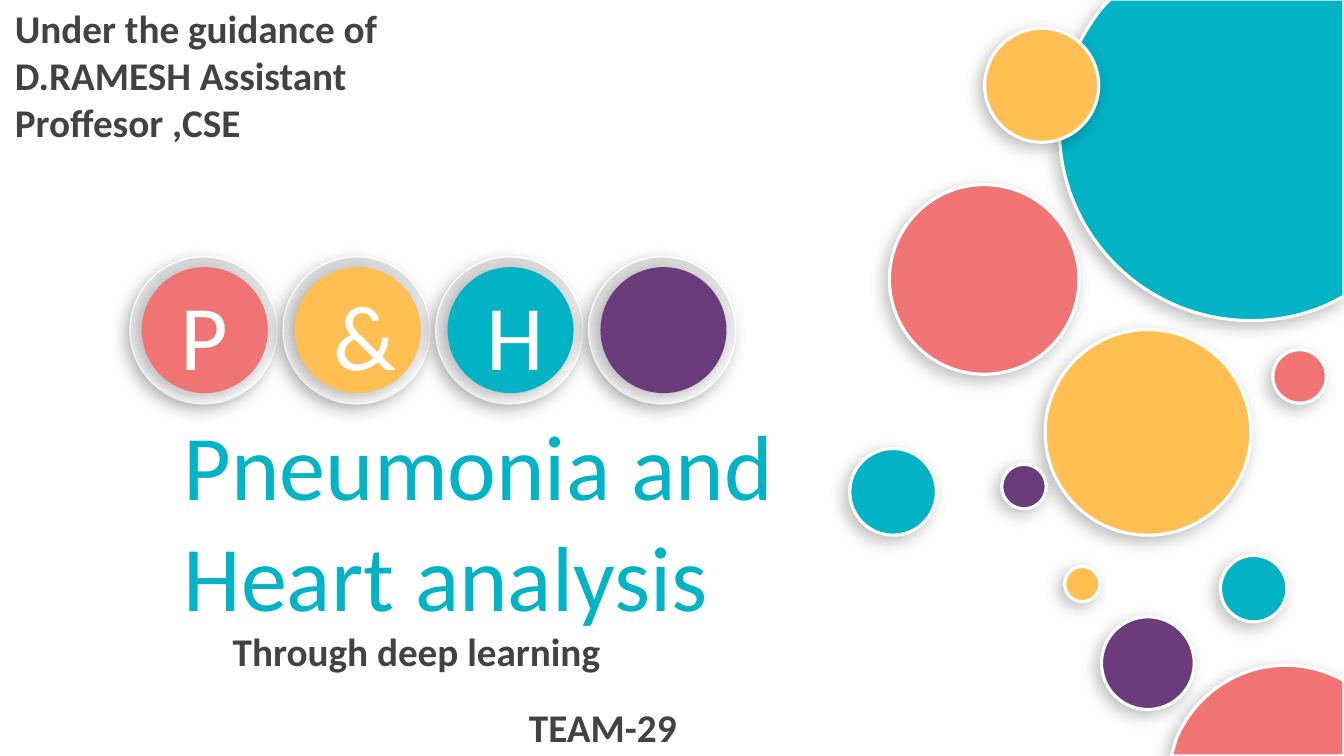
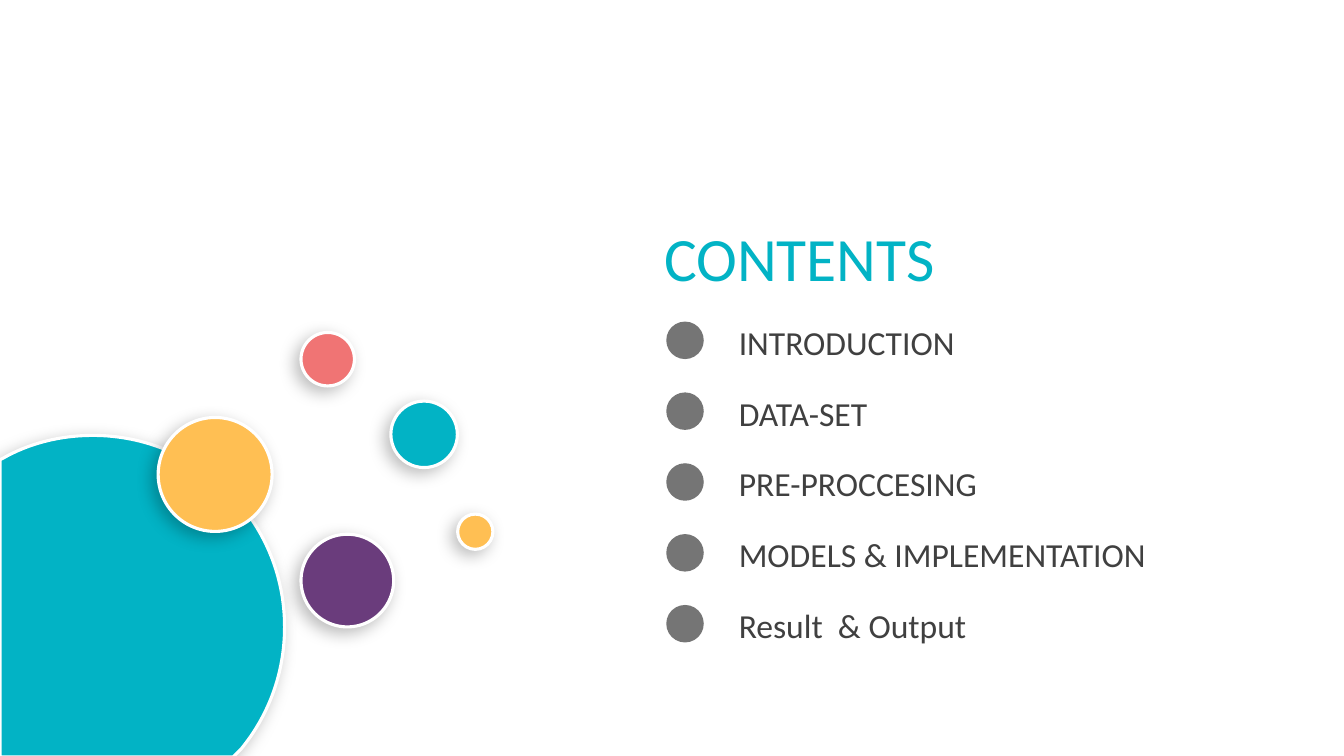
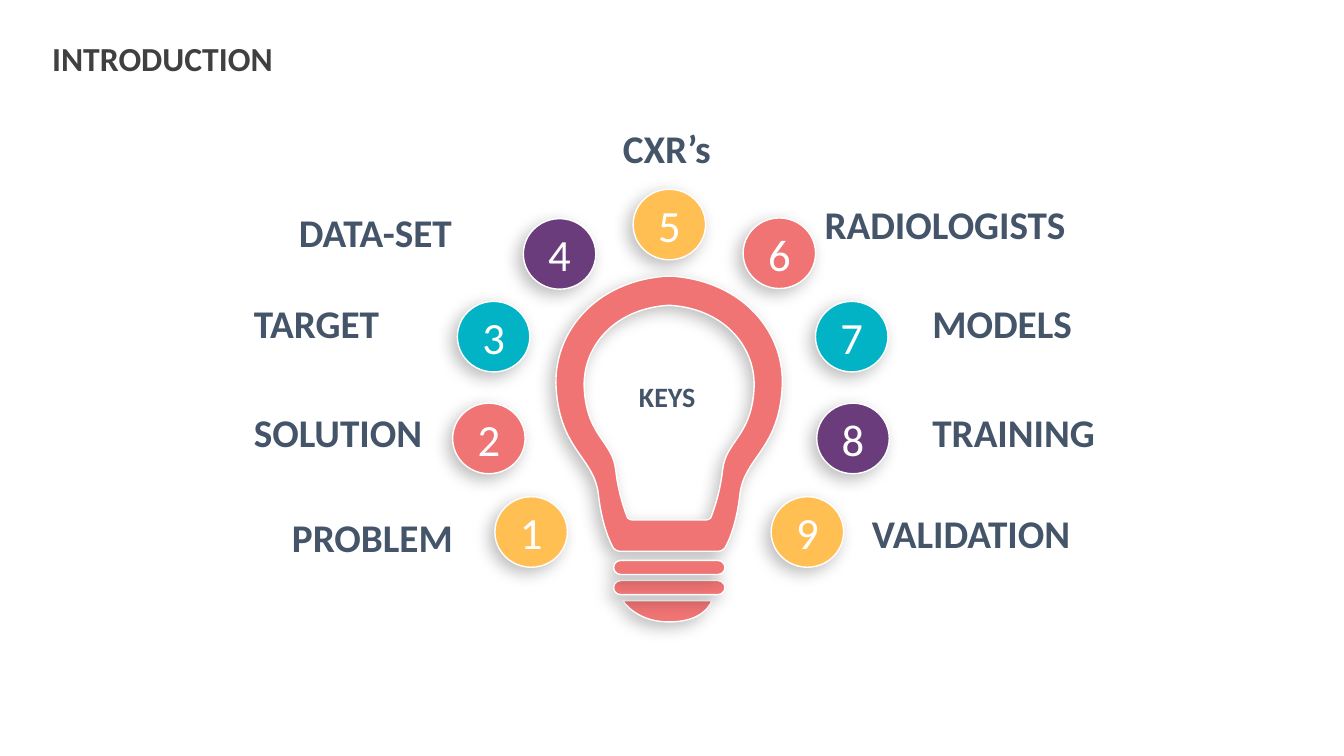
from lxml.etree import SubElement
from pptx import Presentation
from pptx.dml.color import RGBColor
from pptx.enum.shapes import MSO_SHAPE
from pptx.enum.text import MSO_ANCHOR, PP_ALIGN
from pptx.oxml import parse_xml
from pptx.oxml.ns import nsdecls, qn
from pptx.util import Pt

WIDTH, HEIGHT = 960, 540
FONT = "Calibri"
TEAL, CORAL, AMBER, PURPLE = "02B3C5", "F07474", "FFBF53", "6A3C7C"
WHITE, SILVER, GREY, DARK, SLATE = "FFFFFF", "D9D9D9", "404040", "424242", "445469"
SHADOW = (
    f'<a:outerShdw {nsdecls("a")} blurRad="{Pt(12)}" dist="{Pt(5)}" dir="8100000" '
    'algn="tr" rotWithShape="0"><a:srgbClr val="000000"><a:alpha val="26000"/>'
    '</a:srgbClr></a:outerShdw>'
)


def style_shape(shape, color, line_width=0, shadow=True):
    shape.fill.solid()
    shape.fill.fore_color.rgb = RGBColor.from_string(color)
    if line_width:
        shape.line.color.rgb = RGBColor.from_string(WHITE)
        shape.line.width = Pt(line_width)
    else:
        shape.line.fill.background()
    shape.shadow.inherit = False
    if shadow:
        shape._element.spPr.find(qn("a:effectLst")).append(parse_xml(SHADOW))


def add_text(page, left, top, width, height, text, size, color,
             bold=False, inset=True, align=PP_ALIGN.LEFT):
    box = page.shapes.add_textbox(Pt(left), Pt(top), Pt(width), Pt(height))
    frame = box.text_frame
    frame.word_wrap = True
    if not inset:
        frame.margin_left = frame.margin_right = 0
        frame.margin_top = frame.margin_bottom = 0
    frame.text = text
    for para in frame.paragraphs:
        para.alignment = align
        for span in para.runs:
            span.font.name = FONT
            span.font.size = Pt(size)
            span.font.bold = bold
            span.font.color.rgb = RGBColor.from_string(color)


deck = Presentation()
deck.slide_width, deck.slide_height = Pt(WIDTH), Pt(HEIGHT)
cover, contents, introduction = [
    deck.slides.add_slide(deck.slide_layouts[6]) for _ in range(3)
]

# Curved outlines: a start point, then lines (2 numbers) and cubic curves (6 numbers)
corner_bubble = [
    (793.4, -0.7), (960, -0.7), (960, 211.7), (958.3, 212.4),
    (939.6, 223.2, 917.3, 229, 893.5, 229),
    (817.9, 229, 756.7, 167.8, 756.7, 92.2),
    (756.7, 59, 768.2, 28.8, 787.7, 5),
]
# The contents slide shows the corner bubble turned by half a turn
turned_bubble = [
    tuple((HEIGHT if place % 2 else WIDTH) - value for place, value in enumerate(segment))
    for segment in corner_bubble
]
bottom_bubble = [
    (918.7, 475.2), (930.9, 475.2, 942.5, 478.1, 952.6, 482.4),
    (960, 486), (960, 540), (836.6, 540), (840.2, 527.8),
    (853.2, 496.8, 883.4, 475.2, 918.7, 475.2),
]
bulb_base = [
    (445, 429.1), (508.3, 429.1),
    (508.3, 429.1, 504, 445, 475.9, 444.2),
    (453.6, 443.5, 445, 429.1, 445, 429.1),
]

# The glass is symmetrical: right halves from top to bottom, mirrored at the axis
AXIS = 478
glass_halves = [
    [(480, 197.3),
     (531.4, 200.9, 561.6, 238.3, 558.7, 277.9),
     (555.8, 321.8, 531.4, 326.9, 528.5, 353.5),
     (525.6, 379.4, 517.7, 391.7, 517.7, 391.7),
     (516.2, 393.1, 514.8, 393.8, 513.4, 393.8)],
    [(479.5, 218.2),
     (518.4, 221, 540.7, 249.1, 538.6, 278.6),
     (536.4, 311.8, 518.4, 315.4, 516.2, 335.5),
     (514.1, 355, 507.6, 370.1, 507.6, 370.1),
     (506.9, 370.8, 505.4, 371.5, 504, 371.5)],
]
glass = []
for half in glass_halves:
    numbers = [value for segment in half for value in segment]
    mirrored = []
    for x, y in reversed(list(zip(numbers[::2], numbers[1::2]))):
        mirrored += [2 * AXIS - x, y]
    curves = [tuple(mirrored[at:at + 6]) for at in range(2, len(mirrored), 6)]
    glass.append(half + [tuple(mirrored[:2])] + curves)

outlines = [
    (cover, TEAL, 2.25, [corner_bubble]),
    (cover, CORAL, 2.25, [bottom_bubble]),
    (contents, TEAL, 2.25, [turned_bubble]),
    (introduction, CORAL, 1, [bulb_base]),
    (introduction, CORAL, 1, glass),
]
for page, color, line_width, contours in outlines:
    builder = None
    for contour in contours:
        start = [Pt(value) for value in contour[0]]
        if builder is None:
            builder = page.shapes.build_freeform(*start, scale=1.0)
        else:
            builder.move_to(*start)
        points = [(Pt(segment[at]), Pt(segment[at + 1]))
                  for segment in contour[1:] for at in range(0, len(segment), 2)]
        builder.add_line_segments(points, close=True)
    outline = builder.convert_to_shape()
    # Join the three lines of each cubic segment into one curve
    lines = iter(list(outline._element.iter(qn("a:lnTo"))))
    for contour in contours:
        for segment in contour[1:]:
            line = next(lines)
            if len(segment) == 6:
                curve = line.getparent().makeelement(qn("a:cubicBezTo"))
                line.addprevious(curve)
                for piece in (line, next(lines), next(lines)):
                    curve.append(piece[0])
                    piece.getparent().remove(piece)
    style_shape(outline, color, line_width)

# Round bubbles on the first two slides: left, top, diameter, colour
cover_bubbles = [
    (746.6, 235.4, 146.9, AMBER),
    (635.3, 131.9, 135.4, CORAL),
    (786.8, 440.6, 66.2, PURPLE),
    (871.8, 396.7, 47.5, TEAL),
    (703.4, 20.2, 81.4, AMBER),
    (909.2, 249.8, 38.2, CORAL),
    (760.5, 404.6, 25.2, AMBER),
    (607, 320.4, 61.9, TEAL),
    (715.6, 331.7, 31.7, PURPLE),
]
contents_bubbles = [
    (215, 381.6, 66.2, PURPLE),
    (279.2, 286.5, 47.5, TEAL),
    (113, 298.2, 81.4, AMBER),
    (215, 237.5, 38.2, CORAL),
    (326.9, 367.2, 25.2, AMBER),
]
for page, bubbles in ((cover, cover_bubbles), (contents, contents_bubbles)):
    for left, top, size, color in bubbles:
        bubble = page.shapes.add_shape(
            MSO_SHAPE.OVAL, Pt(left), Pt(top), Pt(size), Pt(size))
        style_shape(bubble, color, 2.25)

# Cover: row of ringed letters
badges = [("P", CORAL), ("&", AMBER), ("H", TEAL), ("", PURPLE)]
for index, (letter, color) in enumerate(badges):
    left, top = 92.9 + index * 109.2, 183.4
    ring = cover.shapes.add_shape(MSO_SHAPE.OVAL, Pt(left), Pt(top), Pt(105.1), Pt(105.1))
    style_shape(ring, WHITE, 1)
    ring.fill.gradient()
    ring.fill.gradient_angle = 90
    for stop, shade in zip(ring.fill.gradient_stops, (WHITE, SILVER)):
        stop.color.rgb = RGBColor.from_string(shade)
    disc = cover.shapes.add_shape(
        MSO_SHAPE.OVAL, Pt(left + 8.4), Pt(top + 7.4), Pt(90), Pt(90))
    style_shape(disc, color)
    if letter:
        add_text(cover, left + 28.8, top + 11.7, 55.4, 87.1, letter, 66, WHITE)

# Cover: title and credits
add_text(cover, 124, 288, 472.3, 167, "Pneumonia and Heart analysis", 66, TEAL)
add_text(cover, 159.1, 444.6, 317.5, 41, "Through deep learning", 28, DARK, bold=True)
add_text(cover, 370.8, 499, 163.4, 41, "TEAM-29", 28, DARK, bold=True)
add_text(cover, 3.6, -0.7, 285.8, 108.7,
         "Under the guidance of\nD.RAMESH Assistant Proffesor ,CSE", 28, DARK, bold=True)

# Contents list
add_text(contents, 467.3, 153.4, 271.4, 60.5, "CONTENTS", 44, TEAL)
topics = ["INTRODUCTION", "DATA-SET", "PRE-PROCCESING",
          "MODELS & IMPLEMENTATION", "Result  & Output"]
for index, topic in enumerate(topics):
    top = 226.2 + index * 50.6
    add_text(contents, 520.6, top, 334.8, 36, topic, 24, GREY)
    dot = contents.shapes.add_shape(
        MSO_SHAPE.OVAL, Pt(475.9), Pt(top + 3.5), Pt(26.8), Pt(26.8))
    style_shape(dot, GREY, shadow=False)
    dot_color = dot._element.spPr.find(qn("a:solidFill")).find(qn("a:srgbClr"))
    SubElement(dot_color, qn("a:alpha")).set("val", "72000")

# Introduction: heading and the text inside the bulb
add_text(introduction, 30.2, 23.4, 334.8, 36, "INTRODUCTION", 24, GREY, bold=True)
add_text(introduction, 422.6, 271.4, 108, 24.5, "KEYS", 20, SLATE,
         bold=True, inset=False, align=PP_ALIGN.CENTER)

# Light bulb: two bars of the screw base
for top in (414.7, 400.3):
    bar = introduction.shapes.add_shape(
        MSO_SHAPE.ROUNDED_RECTANGLE, Pt(438.3), Pt(top), Pt(79.6), Pt(10.1))
    bar.adjustments[0] = 0.5
    style_shape(bar, CORAL, 1)

# Numbered discs around the bulb: label, colour, disc place, label place and width
keys = [
    ("PROBLEM", AMBER, 353.5, 354.8, 208.6, 366.5, 154.1),
    ("SOLUTION", CORAL, 323.3, 288, 181.4, 291.6, 154.1),
    ("TARGET", TEAL, 326.7, 215.3, 181.4, 213.8, 154.1),
    ("DATA-SET", PURPLE, 373.8, 156.2, 213.6, 148.7, 154.1),
    ("CXR’s", AMBER, 452.2, 135.2, 445, 89, 154.1),
    ("RADIOLOGISTS", CORAL, 530.8, 155.7, 589, 143.3, 203.8),
    ("MODELS", TEAL, 582.5, 215.3, 666, 213.8, 154.1),
    ("TRAINING", PURPLE, 583.4, 288, 666, 291.6, 154.1),
    ("VALIDATION", AMBER, 550.8, 354.8, 622.8, 363.6, 154.1),
]
for number, (label, color, left, top, label_left, label_top, width) in enumerate(keys, 1):
    disc = introduction.shapes.add_shape(
        MSO_SHAPE.OVAL, Pt(left), Pt(top), Pt(51.8), Pt(50.4))
    style_shape(disc, color, 1)
    disc.text_frame.word_wrap = False
    disc.text_frame.vertical_anchor = MSO_ANCHOR.MIDDLE
    para = disc.text_frame.paragraphs[0]
    para.text = str(number)
    para.alignment = PP_ALIGN.CENTER
    para.runs[0].font.name = FONT
    para.runs[0].font.size = Pt(31.9)
    para.runs[0].font.color.rgb = RGBColor.from_string(WHITE)
    add_text(introduction, label_left, label_top, width, 33.8, label, 28, SLATE,
             bold=True, inset=False)

deck.save("out.pptx")
